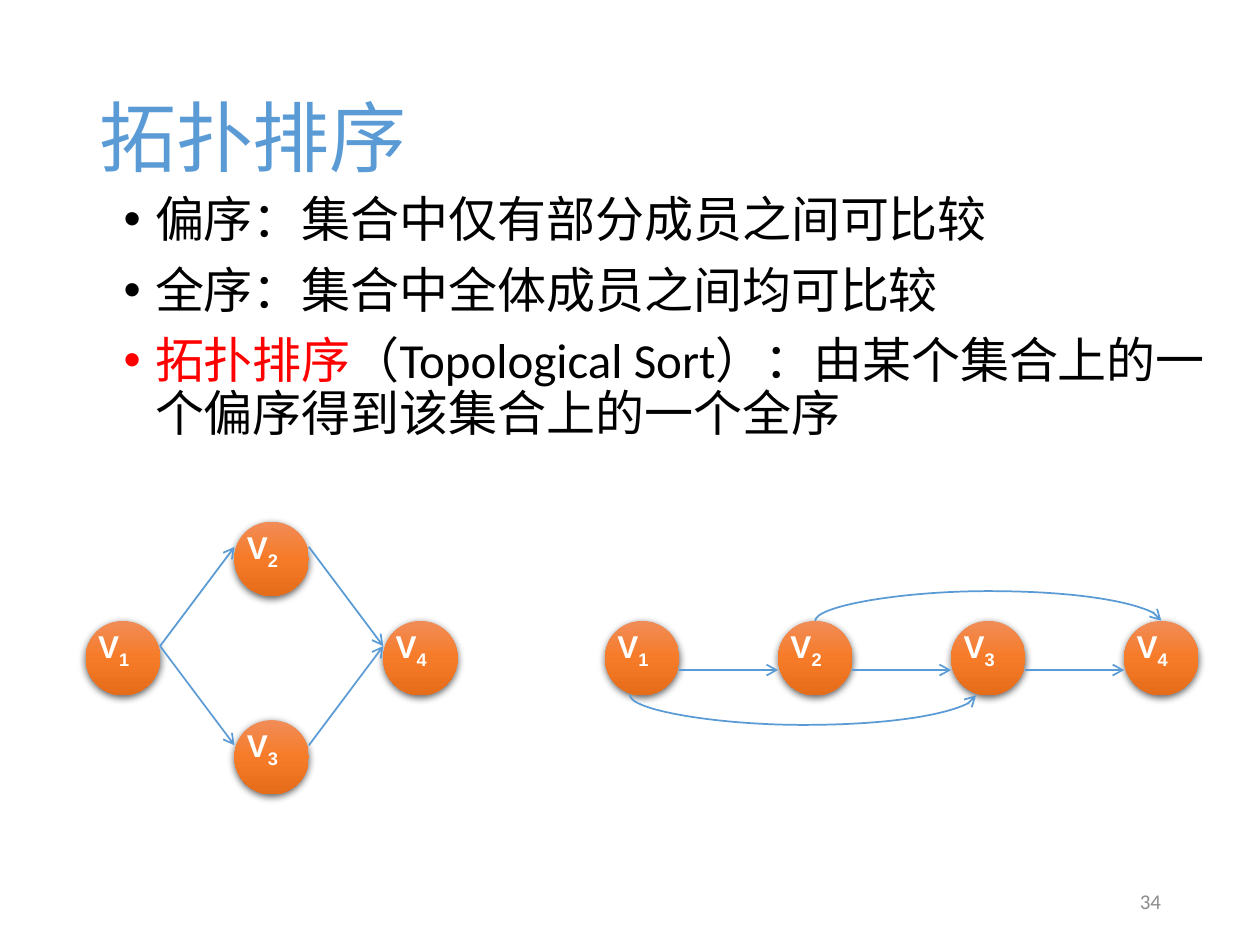
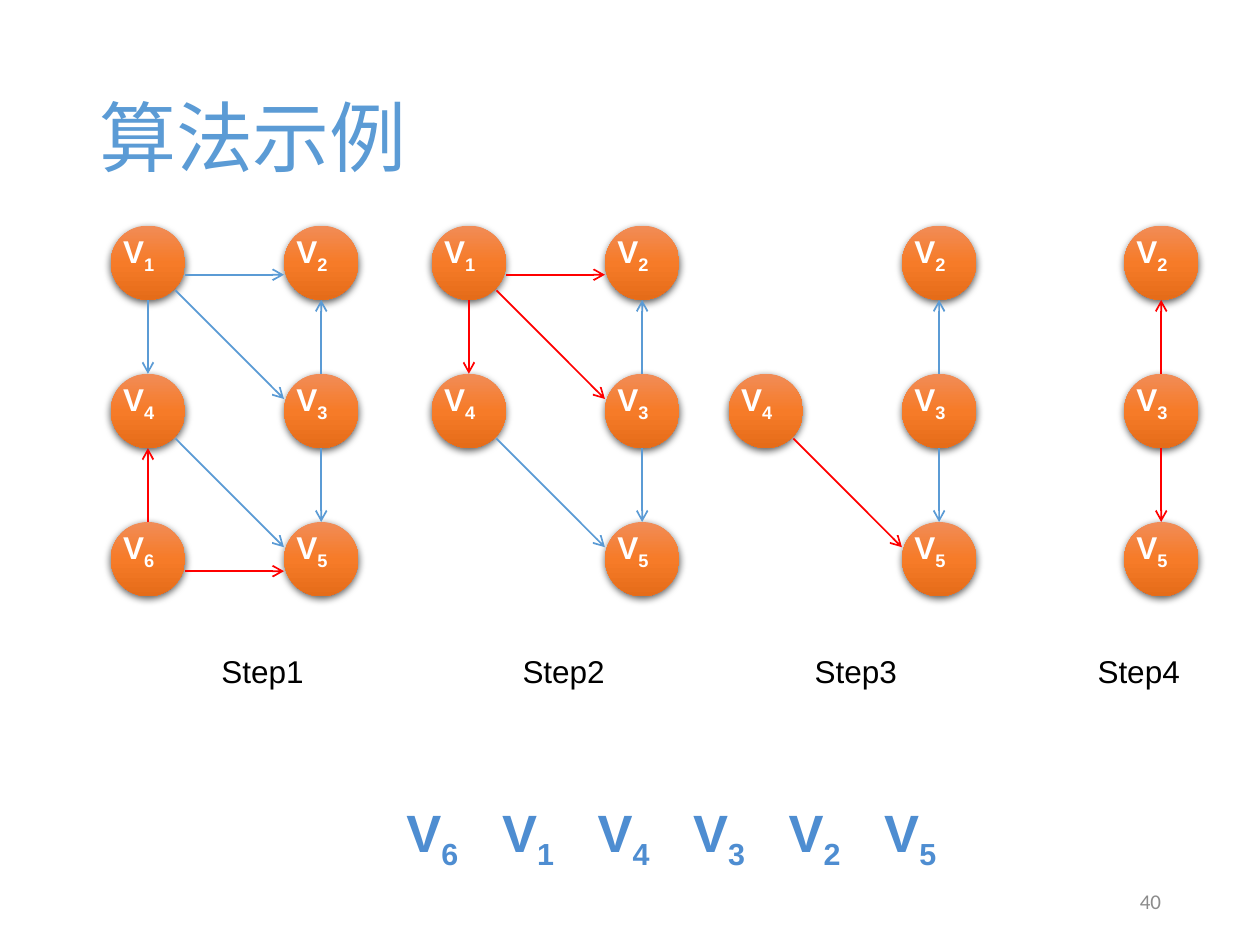
from lxml import etree
from pptx import Presentation
from pptx.dml.color import RGBColor
from pptx.enum.shapes import MSO_CONNECTOR, MSO_SHAPE
from pptx.enum.text import MSO_ANCHOR, PP_ALIGN
from pptx.oxml import parse_xml
from pptx.oxml.ns import qn
from pptx.util import Pt

STRAIGHT, CURVE = MSO_CONNECTOR.STRAIGHT, MSO_CONNECTOR.CURVE
DISC = MSO_SHAPE.FLOWCHART_CONNECTOR
TOP, MIDDLE = MSO_ANCHOR.TOP, MSO_ANCHOR.MIDDLE
LEFT, RIGHT = PP_ALIGN.LEFT, PP_ALIGN.RIGHT

BLUE, RED, BLACK, WHITE, GRAY = "5B9BD5", "FF0000", "000000", "FFFFFF", "8C8C8C"
ORDER_BLUE = "4E8DD1"
ORANGE = [(0, "F18C57"), (50, "F67B28"), (100, "E56C19")]
NS = 'xmlns:a="http://schemas.openxmlformats.org/drawingml/2006/main"'

SIZE, LABEL = 42.5, 28.8
# Port: offset from the node's corner, and the label's side to join, if any
PORTS = {
    "top": (SIZE / 2, 0, 0),
    "left": (0, LABEL / 2, 1),
    "right": (SIZE, LABEL / 2, 3),
    "bottom": (SIZE / 2, SIZE, None),
    "corner": (37, 37, None),
    "low left": (0, 28.1, None),
    "low right": (SIZE, 28.1, None),
}
ACROSS = ("low right", "low left")
DOWN = ("bottom", "top")
UP = ("top", "bottom")
SLANT = ("corner", "left")
LEVEL = ("right", "left")


def rgb(code):
    return RGBColor.from_string(code)


def add_text(shapes, x, y, w, h, anchor=TOP):
    box = shapes.add_textbox(Pt(x), Pt(y), Pt(w), Pt(h))
    box.text_frame.word_wrap = True
    box.text_frame.vertical_anchor = anchor
    return box


def add_run(para, text, size, color, font="Arial", bold=False, sub=False):
    run = para.add_run()
    run.text = text
    run.font.size = Pt(size)
    run.font.name = font
    run.font.bold = bold
    run.font.color.rgb = rgb(color)
    if sub:
        run.font._element.set("baseline", "-25000")


def add_vertex(para, digit, size, color, lead=""):
    add_run(para, lead + "V", size, color, bold=True)
    add_run(para, digit, size, color, bold=True, sub=True)


def set_tabs(para, stops):
    tabs = etree.SubElement(para._p.get_or_add_pPr(), qn("a:tabLst"))
    for stop in stops:
        etree.SubElement(tabs, qn("a:tab"), pos=str(Pt(stop)), algn="l")


def add_node(slide, digit, x, y):
    """Draw a shaded disc with its label; return the label."""
    group = slide.shapes.add_group_shape()
    disc = group.shapes.add_shape(DISC, Pt(x), Pt(y), Pt(SIZE), Pt(SIZE))
    disc.line.fill.background()
    props = disc._element.spPr
    stops = "".join(f'<a:gs pos="{pos * 1000}"><a:srgbClr val="{code}"/></a:gs>'
                    for pos, code in ORANGE)
    props.find(qn("a:prstGeom")).addnext(parse_xml(
        f'<a:gradFill {NS} rotWithShape="1"><a:gsLst>{stops}</a:gsLst>'
        '<a:lin ang="5400000" scaled="0"/></a:gradFill>'))
    props.append(parse_xml(
        f'<a:effectLst {NS}><a:outerShdw blurRad="{Pt(4.5)}" dist="{Pt(1.5)}" '
        f'dir="5400000" algn="ctr" rotWithShape="0"><a:srgbClr val="{BLACK}">'
        '<a:alpha val="63000"/></a:srgbClr></a:outerShdw></a:effectLst>'))
    label = add_text(group.shapes, x, y, SIZE, LABEL)
    add_vertex(label.text_frame.paragraphs[0], digit, 18, WHITE)
    return label


def style_arrow(line, color):
    line.line.color.rgb = rgb(color)
    line.line.width = Pt(1)
    etree.SubElement(line.line._get_or_add_ln(), qn("a:tailEnd"), type="arrow")
    etree.SubElement(line._element.spPr, qn("a:effectLst"))


def add_edge(slide, start, end, ports, color=BLUE):
    """Link two node labels, from the first port to the second."""
    (ax, ay, out), (bx, by, into) = (PORTS[port] for port in ports)
    line = slide.shapes.add_connector(
        STRAIGHT, start.left + Pt(ax), start.top + Pt(ay),
        end.left + Pt(bx), end.top + Pt(by))
    if out is not None:
        line.begin_connect(start, out)
    if into is not None:
        line.end_connect(end, into)
    style_arrow(line, color)


def add_arc(slide, x1, x2, y, above):
    """Draw a curved arrow from x1 to x2 that bulges 18 pt above or below y."""
    thin, bulge, span, mid = 0.12, 18, x2 - x1, (x1 + x2) / 2
    line = slide.shapes.add_connector(
        CURVE, Pt(mid - thin / 2), Pt(y - span / 2),
        Pt(mid + thin / 2), Pt(y + span / 2))
    props = line._element.spPr
    place = props.find(qn("a:xfrm"))
    place.set("rot", "5400000" if above else "16200000")
    place.set("flipH", "1")
    if above:
        place.set("flipV", "1")
    geom = props.find(qn("a:prstGeom"))
    etree.SubElement(geom.get_or_add_avLst(), qn("a:gd"), name="adj1",
                     fmla=f"val {round(bulge / thin * 100000)}")
    style_arrow(line, BLUE)


def add_bullet(para, runs):
    para.line_spacing = 0.9
    para.space_before = Pt(10)
    props = para._p.get_or_add_pPr()
    props.set("marL", str(Pt(18)))
    props.set("indent", str(-Pt(18)))
    etree.SubElement(props, qn("a:buFont"), typeface="Arial")
    etree.SubElement(props, qn("a:buChar"), char="•")
    for text, color in runs:
        add_run(para, text, 28, color, "Calibri")


def start_slide(deck, title, number):
    slide = deck.slides.add_slide(deck.slide_layouts[6])
    head = add_text(slide.shapes, 49.5, 28.8, 620.6, 104.4, MIDDLE)
    para = head.text_frame.paragraphs[0]
    para.line_spacing = 0.9
    add_run(para, title, 44, BLUE, "Calibri")
    foot = add_text(slide.shapes, 508.5, 500.5, 162, 28.8, MIDDLE)
    para = foot.text_frame.paragraphs[0]
    para.alignment = RIGHT
    add_run(para, number, 12, GRAY, "Calibri")
    return slide


def add_sort(deck):
    slide = start_slide(deck, "拓扑排序", "34")
    frame = add_text(slide.shapes, 63.5, 108, 641.5, 198).text_frame
    points = [
        [("偏序：集合中仅有部分成员之间可比较", BLACK)],
        [("全序：集合中全体成员之间均可比较", BLACK)],
        [("拓扑排序", RED),
         ("（Topological Sort）：由某个集合上的一个偏序得到该集合上的一个全序", BLACK)],
    ]
    for i, runs in enumerate(points):
        para = frame.add_paragraph() if i else frame.paragraphs[0]
        add_bullet(para, runs)

    x, y, dx, dy = 49, 354.8, 85, 56.7
    spots = {"1": (0, 0), "2": (1, -1), "3": (1, 1), "4": (2, 0)}
    nodes = {digit: add_node(slide, digit, x + col * dx, y + row * dy)
             for digit, (col, row) in spots.items()}
    for a, b in ("12", "13", "24", "34"):
        add_edge(slide, nodes[a], nodes[b], LEVEL)

    left, pitch = 345.7, 98.9
    chain = [add_node(slide, str(i + 1), left + i * pitch, y) for i in range(4)]
    for a, b in zip(chain, chain[1:]):
        add_edge(slide, a, b, ACROSS)
    peak = left + pitch + SIZE / 2
    add_arc(slide, peak, peak + 2 * pitch, y, True)
    add_arc(slide, left + 14.3, left + 14.3 + 2 * pitch, y + SIZE, False)


def add_steps(deck):
    slide = start_slide(deck, "算法示例", "40")
    top, pitch, gap = 128.9, 84.7, 99
    cells = {"1": (0, 0), "2": (1, 0), "4": (0, 1),
             "3": (1, 1), "6": (0, 2), "5": (1, 2)}
    links = {"12": ACROSS, "13": SLANT, "14": DOWN, "32": UP, "35": DOWN,
             "45": SLANT, "64": UP, "65": ACROSS}
    # Left of the first column, nodes still present, node taken out next
    steps = [(63.3, "124365", "6"), (246.7, "12435", "1"),
             (416.4, "2435", "4"), (543.3, "235", "3")]
    for left, present, taken in steps:
        nodes = {}
        for digit in present:
            col, row = cells[digit]
            nodes[digit] = add_node(slide, digit, left + col * gap, top + row * pitch)
        for (a, b), ports in links.items():
            if a in nodes and b in nodes:
                add_edge(slide, nodes[a], nodes[b], ports, RED if a == taken else BLUE)

    names = add_text(slide.shapes, 119.5, 368.9, 565, 28.8)
    para = names.text_frame.paragraphs[0]
    set_tabs(para, (172, 338.9, 500.6))
    add_run(para, "\t".join(f"Step{i}" for i in range(1, 5)), 18, BLACK)

    order = add_text(slide.shapes, 219, 453.5, 330, 43.6)
    order.text_frame.margin_left = Pt(13.3)
    para = order.text_frame.paragraphs[0]
    para.alignment = LEFT
    set_tabs(para, [54.6 * i for i in range(1, 6)])
    for i, digit in enumerate("614325"):
        add_vertex(para, digit, 30, ORDER_BLUE, "\t" if i else "")


def main():
    deck = Presentation()
    deck.slide_width, deck.slide_height = Pt(720), Pt(540)
    add_sort(deck)
    add_steps(deck)
    deck.save("out.pptx")


if __name__ == "__main__":
    main()
